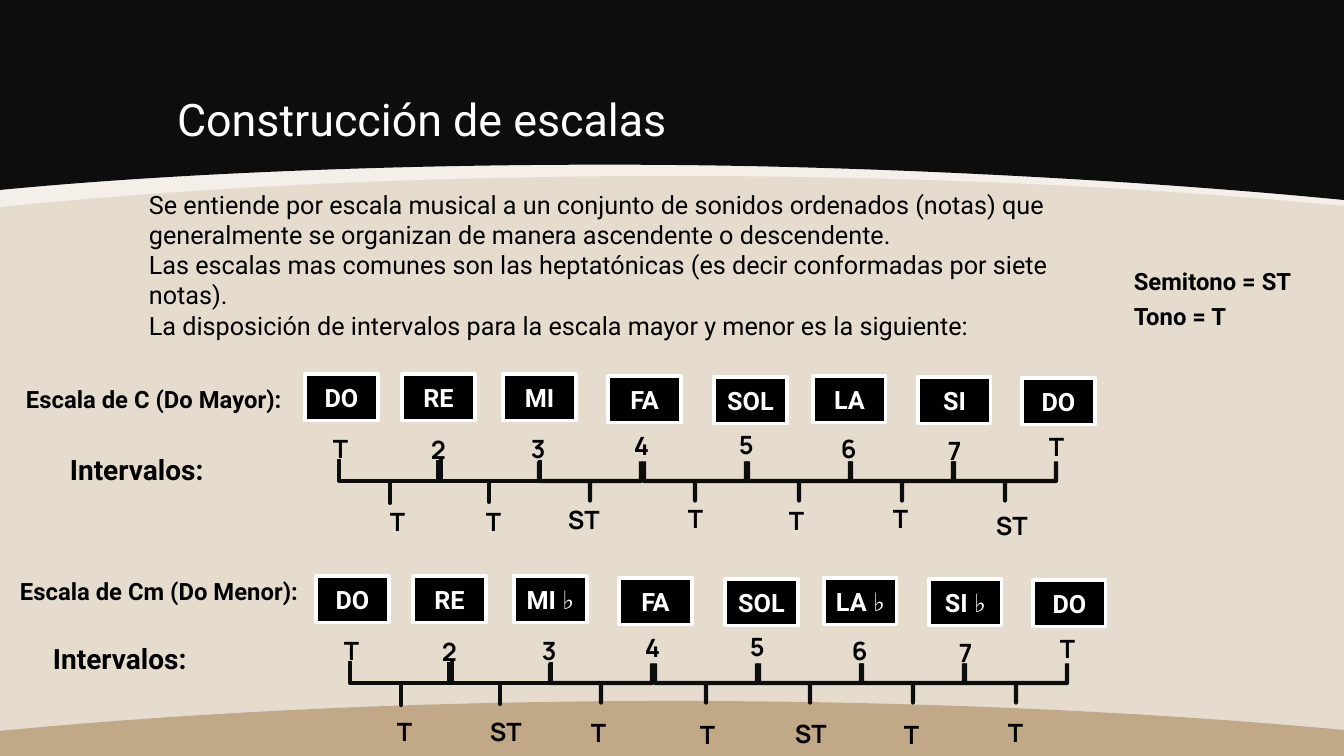
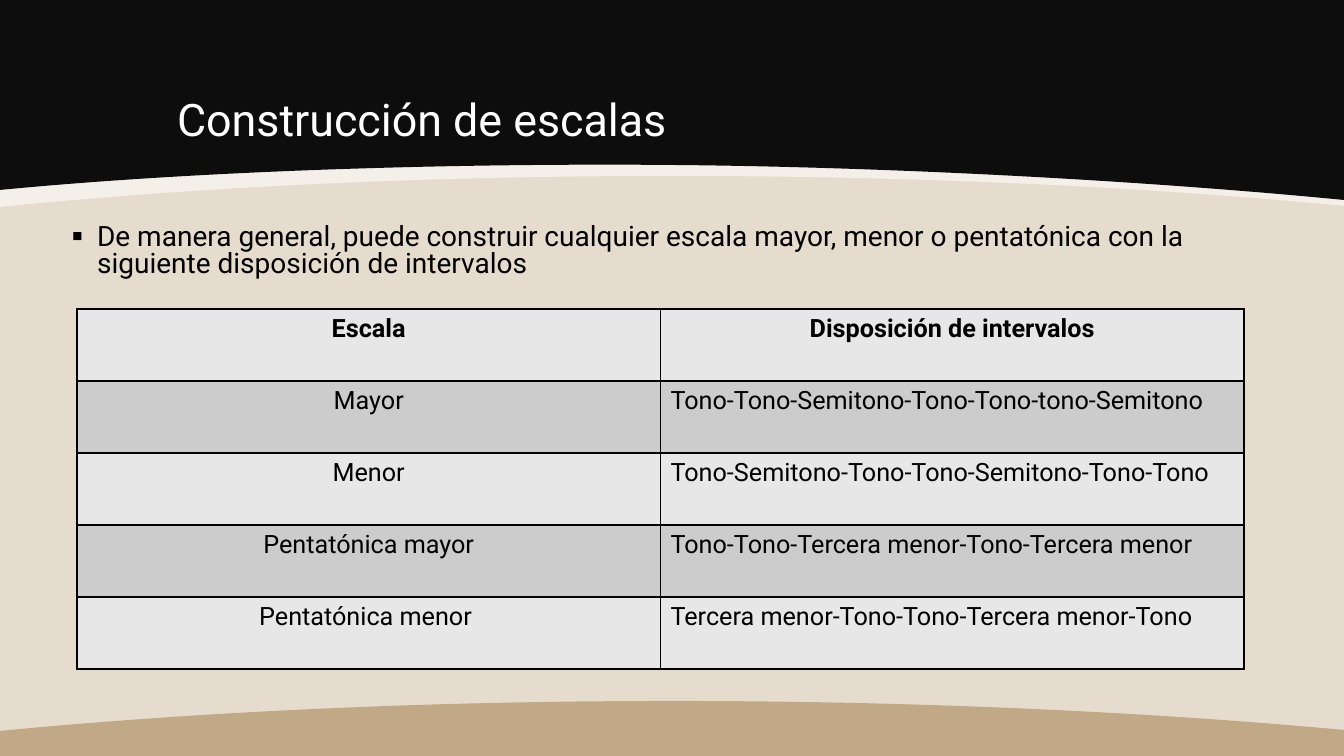
from dataclasses import dataclass
from itertools import product

from lxml import etree
from pptx import Presentation
from pptx.dml.color import RGBColor
from pptx.enum.shapes import MSO_SHAPE
from pptx.enum.text import MSO_ANCHOR, MSO_AUTO_SIZE, PP_ALIGN
from pptx.oxml.ns import qn
from pptx.util import Pt

RECTANGLE, BRACE = MSO_SHAPE.RECTANGLE, MSO_SHAPE.RIGHT_BRACE
LEFT, CENTER = PP_ALIGN.LEFT, PP_ALIGN.CENTER
TOP, MIDDLE, BOTTOM = MSO_ANCHOR.TOP, MSO_ANCHOR.MIDDLE, MSO_ANCHOR.BOTTOM
FIXED_SIZE = MSO_AUTO_SIZE.NONE

EMU_PER_INCH = 914400
EMU_PER_PIXEL = EMU_PER_INCH / 100.8
WIDTH, HEIGHT = 1344, 756


@dataclass(frozen=True)
class Theme:
    sand: str = "E6DCCE"
    cream: str = "FAF8F5"
    ink: str = "0D0D0D"
    tan: str = "C1A886"
    black: str = "000000"
    white: str = "FFFFFF"
    light_row: str = "E7E7E7"
    dark_row: str = "CCCCCC"
    text_font: str = "Roboto"
    degree_font: str = "Manrope"
    title_size: int = 32
    lead_size: int = 20
    text_size: int = 18
    caption_size: int = 17


THEME = Theme()
TITLE = "Construcción de escalas"

# Each band: colour, opacity, straight edge, then two cubic curves of three points
BANDS = [
    (THEME.cream, 70, [(0, 0), (WIDTH, 0), (WIDTH, 206)],
     [(1149, 187), (919, 176), (673, 176), (426, 176), (196, 187), (0, 207)]),
    (THEME.ink, 100, [(0, 0), (WIDTH, 0), (WIDTH, 200)],
     [(1149, 181), (896, 167), (673, 165), (449, 163), (196, 171), (0, 190)]),
    (THEME.tan, 100, [(0, HEIGHT), (WIDTH, HEIGHT), (WIDTH, 730)],
     [(1149, 712), (919, 701), (673, 701), (426, 701), (196, 712), (0, 731)]),
]

INTRO = [
    "Se entiende por escala musical a un conjunto de sonidos ordenados (notas) que "
    "generalmente se organizan de manera ascendente o descendente. ",
    "Las escalas mas comunes son las heptatónicas (es decir conformadas por siete notas).",
    "La disposición de intervalos para la escala mayor y menor es la siguiente:",
]
LEAD = ("De manera general, puede construir cualquier escala mayor, menor o "
        "pentatónica con la siguiente disposición de intervalos")
TABLE_ROWS = [
    ("Escala", "Disposición de intervalos"),
    ("Mayor", "Tono-Tono-Semitono-Tono-Tono-tono-Semitono "),
    ("Menor", "Tono-Semitono-Tono-Tono-Semitono-Tono-Tono"),
    ("Pentatónica mayor", "Tono-Tono-Tercera menor-Tono-Tercera menor"),
    ("Pentatónica menor ", "Tercera menor-Tono-Tono-Tercera menor-Tono"),
]

# Offsets from the corner of a scale diagram
NOTE_SPOTS = [(0, 0), (97, 0), (198, 0), (303, 2), (409, 3), (508, 2), (613, 3), (717, 4)]
DEGREES = ["T", "2", "3", "4", "5", "6", "7", "T"]
DEGREE_SPOTS = [(18, 54), (116, 55), (216, 54), (319, 51),
                (424, 50), (526, 54), (633, 56), (734, 52)]
BRACE_CENTERS = [85, 184, 285, 390, 494, 597, 700]
BRACE_DEPTHS = [44, 42, 39, 39, 39, 39, 39]
BRACE_SPAN, BRACE_MIDDLE = 102, 107

MAJOR = {
    "notes": ["DO", "RE", "MI", "FA", "SOL", "LA", "SI", "DO"],
    "steps": ["T", "T", "ST", "T", "T", "T", "ST"],
    "step_spots": [(75, 127), (171, 127), (253, 125), (373, 124),
                   (474, 126), (578, 124), (681, 131)],
}
MINOR = {
    "notes": ["DO", "RE", "MI ♭", "FA", "SOL", "LA ♭", "SI ♭", "DO"],
    "steps": ["T", "ST", "T", "T", "ST", "T", "T"],
    "step_spots": [(71, 135), (164, 135), (265, 136), (374, 138),
                   (469, 137), (578, 138), (682, 136)],
}


def px(length):
    return round(length * EMU_PER_PIXEL)


def place(box):
    return [px(length) for length in box]


def rgb(code):
    return RGBColor.from_string(code)


def write(frame, *texts, size=THEME.text_size, font=THEME.text_font, color=THEME.black,
          bold=False, align=LEFT, anchor=TOP, spacing=None, before=None):
    """Fill a text frame with one paragraph for each text."""
    frame.word_wrap = True
    frame.vertical_anchor = anchor
    for index, text in enumerate(texts):
        para = frame.add_paragraph() if index else frame.paragraphs[0]
        para.alignment = align
        if spacing is not None:
            para.line_spacing = spacing
        if before is not None:
            para.space_before = Pt(before)
        span = para.add_run()
        span.text = text
        span.font.size = Pt(size)
        span.font.name = font
        span.font.bold = bold
        span.font.color.rgb = rgb(color)


def add_text(page, box, *texts, **style):
    text_box = page.shapes.add_textbox(*place(box))
    write(text_box.text_frame, *texts, **style)
    return text_box


def add_caption(page, box, text, size=THEME.caption_size, spacing=0.8):
    add_text(page, box, text, size=size, bold=True, spacing=spacing, before=18)


def add_outline(page, kind, box, fill, line, weight):
    shape = page.shapes.add_shape(kind, *place(box))
    shape.shadow.inherit = False
    if fill:
        shape.fill.solid()
        shape.fill.fore_color.rgb = rgb(fill)
    else:
        shape.fill.background()
    shape.line.color.rgb = rgb(line)
    shape.line.width = Pt(weight)
    return shape


def bend(element, straight_count):
    """Join each three lines after the straight ones into a cubic curve."""
    lines = list(element.iter(qn("a:lnTo")))[straight_count:]
    for start in range(0, len(lines) - 2, 3):
        first, *others = lines[start:start + 3]
        first.tag = qn("a:cubicBezTo")
        for line in others:
            first.append(line[0])
            line.getparent().remove(line)


def add_bands(deck, page):
    """Draw the curved bands and hand them to the slide master."""
    master = deck.slide_master
    master.background.fill.solid()
    master.background.fill.fore_color.rgb = rgb(THEME.sand)
    for index, (color, opacity, edge, curves) in enumerate(BANDS):
        start, *others = [place(point) for point in edge + curves]
        builder = page.shapes.build_freeform(*start)
        builder.add_line_segments(others, close=True)
        band = builder.convert_to_shape()
        band.shadow.inherit = False
        band.fill.solid()
        band.fill.fore_color.rgb = rgb(color)
        band.line.fill.background()
        element = band.element
        bend(element, len(edge) - 1)
        if opacity < 100:
            tint = element.find(".//" + qn("a:srgbClr"))
            etree.SubElement(tint, qn("a:alpha"), val=str(opacity * 1000))
        element.find(".//" + qn("p:cNvPr")).set("id", str(101 + index))
        master.shapes.element.insert(2 + index, element)


def add_page(deck):
    """Add a slide with the shared title."""
    page = deck.slides.add_slide(deck.slide_layouts.get_by_name("Title Only"))
    title = page.shapes.title
    title.left, title.top, title.width, title.height = place((167, 30, 1008, 121))
    write(title.text_frame, TITLE, size=THEME.title_size, color=THEME.white,
          anchor=BOTTOM, spacing=0.9)
    title.text_frame.auto_size = FIXED_SIZE
    return page


def add_scale(page, left, top, notes, steps, step_spots):
    """Draw a scale: note boxes, degrees, braces and the steps between."""
    for note, (x, y) in zip(notes, NOTE_SPOTS):
        key = add_outline(page, RECTANGLE, (left + x, top + y, 73, 47),
                          THEME.black, THEME.white, 2.25)
        write(key.text_frame, note, color=THEME.white, bold=True,
              align=CENTER, anchor=MIDDLE)

    for center, depth in zip(BRACE_CENTERS, BRACE_DEPTHS):
        box = (left + center - depth / 2, top + BRACE_MIDDLE - BRACE_SPAN / 2,
               depth, BRACE_SPAN)
        brace = add_outline(page, BRACE, box, None, THEME.ink, 3)
        brace.adjustments[0], brace.adjustments[1] = 0, 0.5
        brace.rotation = 90

    labels = zip(DEGREES + steps, DEGREE_SPOTS + step_spots)
    for label, (x, y) in labels:
        width = 60 if len(label) > 1 else 47
        add_text(page, (left + x, top + y, width, 40), label,
                 font=THEME.degree_font, bold=True)


def add_interval_table(page, box):
    left, top, width, height = box
    frame = page.shapes.add_table(len(TABLE_ROWS), 2, *place(box))
    table = frame.table
    table.horz_banding = False
    for column in table.columns:
        column.width = px(width / 2)
    for row in table.rows:
        row.height = px(height / len(TABLE_ROWS))
    for row, column in product(range(len(TABLE_ROWS)), range(2)):
        cell = table.cell(row, column)
        add_borders(cell)
        cell.fill.solid()
        cell.fill.fore_color.rgb = rgb(THEME.dark_row if row % 2 else THEME.light_row)
        centered = row == 0 or column == 0
        write(cell.text_frame, TABLE_ROWS[row][column], bold=row == 0,
              align=CENTER if centered else LEFT)


def add_borders(cell):
    properties = cell._tc.get_or_add_tcPr()
    for side in ("lnL", "lnR", "lnT", "lnB"):
        line = etree.SubElement(properties, qn("a:" + side), w=str(Pt(1)))
        fill = etree.SubElement(line, qn("a:solidFill"))
        etree.SubElement(fill, qn("a:srgbClr"), val=THEME.black)


def add_bullet(para, indent):
    properties = para._p.get_or_add_pPr()
    properties.set("marL", str(indent))
    properties.set("indent", str(-indent))
    etree.SubElement(properties, qn("a:buFont"), typeface=THEME.text_font)
    etree.SubElement(properties, qn("a:buChar"), char="▪")


def fill_scales_page(page):
    add_text(page, (139, 184, 996, 224), *INTRO)
    # Key to the abbreviations
    add_caption(page, (1124, 267, 199, 52), "Semitono = ST")
    add_caption(page, (1124, 302, 119, 52), "Tono = T")
    # Row captions
    add_caption(page, (16, 385, 306, 52), "Escala de C (Do Mayor):")
    add_caption(page, (10, 577, 306, 52), "Escala de Cm (Do Menor):")
    for left, top in ((60, 451), (43, 640)):
        add_caption(page, (left, top, 258, 52), "Intervalos:", THEME.lead_size, 0.9)
    # Diagrams
    add_scale(page, 305, 374, **MAJOR)
    add_scale(page, 316, 576, **MINOR)


def fill_table_page(page):
    lead = add_text(page, (62, 220, 1180, 71), LEAD, size=THEME.lead_size,
                    spacing=0.8, before=18)
    add_bullet(lead.text_frame.paragraphs[0], EMU_PER_INCH // 4)
    add_interval_table(page, (77, 309, 1167, 360))


def main():
    deck = Presentation()
    deck.slide_width, deck.slide_height = px(WIDTH), px(HEIGHT)
    scales_page = add_page(deck)
    add_bands(deck, scales_page)
    fill_scales_page(scales_page)
    fill_table_page(add_page(deck))
    deck.save("out.pptx")


main()
